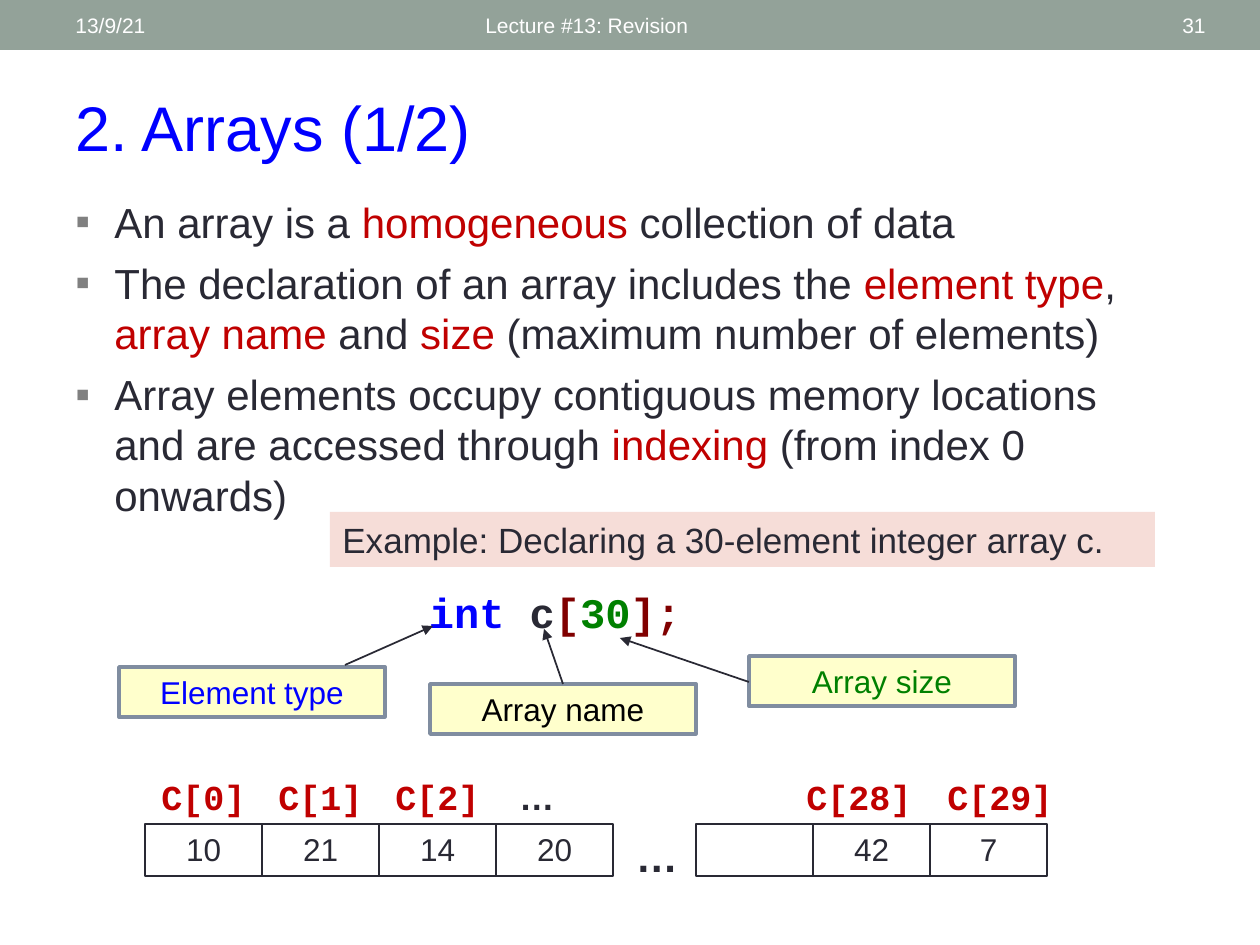
from typing import NamedTuple

from lxml.etree import SubElement
from pptx import Presentation
from pptx.dml.color import RGBColor
from pptx.enum.shapes import MSO_CONNECTOR, MSO_SHAPE
from pptx.enum.text import MSO_ANCHOR, PP_ALIGN
from pptx.oxml.ns import qn
from pptx.util import Emu, Pt

EMU_PER_PX = 914400 / 126
COLORS = {
    "band": "93A299", "white": "FFFFFF", "blue": "0000FF", "ink": "292934",
    "red": "C00000", "maroon": "800000", "green": "008000", "black": "000000",
    "bullet": "808080", "label": "FFFFCC", "border": "808DA0", "example": "F6DDD8",
}


class Box(NamedTuple):
    left: int
    top: int
    width: int
    height: int


class Run(NamedTuple):
    text: str
    color: str = "ink"


class Style(NamedTuple):
    size: int
    name: str = "Arial"
    bold: bool = False
    align: PP_ALIGN = PP_ALIGN.LEFT
    anchor: MSO_ANCHOR = MSO_ANCHOR.TOP
    bulleted: bool = False


class Callout(NamedTuple):
    box: Box
    run: Run
    start: tuple[int, int]
    end: tuple[int, int]


FOOTER = Style(12, anchor=MSO_ANCHOR.MIDDLE)
PAGE_NUMBER = FOOTER._replace(align=PP_ALIGN.RIGHT)
TITLE = Style(36, anchor=MSO_ANCHOR.BOTTOM)
BODY = Style(24, bulleted=True)
CODE = Style(24, "Courier New", True, PP_ALIGN.CENTER)
INDEX = CODE._replace(size=20)
CENTERED = Style(18, align=PP_ALIGN.CENTER)
ELLIPSIS = Style(24, bold=True, align=PP_ALIGN.CENTER)

BULLETS = [
    [Run("An array is a "), Run("homogeneous", "red"), Run(" collection of data")],
    [Run("The declaration of an array includes the "), Run("element type", "red"),
     Run(", "), Run("array name ", "red"), Run("and "), Run("size", "red"),
     Run(" (maximum number of elements)")],
    [Run("Array elements occupy contiguous memory locations and are accessed through "),
     Run("indexing", "red"), Run(" (from index 0 onwards)")],
]
DECLARATION = [Run("int ", "blue"), Run("c"), Run("[", "maroon"),
               Run("30", "green"), Run("];", "maroon")]
CALLOUTS = [
    Callout(Box(430, 684, 266, 50), Run("Array name", "black"), (563, 684), (544, 629)),
    Callout(Box(119, 667, 266, 50), Run("Element type", "blue"), (345, 665), (433, 626)),
    Callout(Box(749, 656, 266, 50), Run("Array size", "green"), (749, 682), (620, 638)),
]
CELL_WIDTH, CELL_HEIGHT, CELL_TOP, INDEX_TOP = 117, 52, 824, 769
CELL_GROUPS = [(145, ["10", "21", "14", "20"]), (696, ["", "42", "7"])]
INDEX_LABELS = [(145, 117, "C[0]"), (262, 117, "C[1]"), (379, 117, "C[2]"),
                (789, 140, "C[28]"), (930, 140, "C[29]")]


def px(value: int) -> Emu:
    return Emu(round(value * EMU_PER_PX))


def rgb(name: str) -> RGBColor:
    return RGBColor.from_string(COLORS[name])


def apply(target, values: dict) -> None:
    for name, value in values.items():
        setattr(target, name, value)


def add_bullet(paragraph) -> None:
    properties = paragraph._p.get_or_add_pPr()
    properties.set("marL", str(px(39)))
    properties.set("indent", str(-px(39)))
    color = SubElement(properties, qn("a:buClr"))
    SubElement(color, qn("a:srgbClr"), val=COLORS["bullet"])
    SubElement(properties, qn("a:buFont"), typeface="Arial")
    SubElement(properties, qn("a:buChar"), char="▪")


def write(shape, paragraphs: list[list[Run]], style: Style) -> None:
    frame = shape.text_frame
    apply(frame, {"word_wrap": True, "vertical_anchor": style.anchor})
    for number, runs in enumerate(paragraphs):
        paragraph = frame.add_paragraph() if number else frame.paragraphs[0]
        paragraph.alignment = style.align
        if style.bulleted:
            if number:
                paragraph.space_before = Pt(6)
            add_bullet(paragraph)
        for item in runs:
            run = paragraph.add_run()
            run.text = item.text
            apply(run.font, {"size": Pt(style.size), "name": style.name, "bold": style.bold})
            run.font.color.rgb = rgb(item.color)


def add_text(slide, box: Box, paragraphs: list[list[Run]], style: Style) -> None:
    write(slide.shapes.add_textbox(*map(px, box)), paragraphs, style)


def add_rectangle(slide, box: Box, fill: str = "", line: str = "", weight: float = 1):
    shape = slide.shapes.add_shape(MSO_SHAPE.RECTANGLE, *map(px, box))
    shape.shadow.inherit = False
    if fill:
        shape.fill.solid()
        shape.fill.fore_color.rgb = rgb(fill)
    else:
        shape.fill.background()
    if line:
        shape.line.color.rgb = rgb(line)
        shape.line.width = Pt(weight)
    else:
        shape.line.fill.background()
    return shape


def add_arrow(slide, start: tuple[int, int], end: tuple[int, int]) -> None:
    arrow = slide.shapes.add_connector(MSO_CONNECTOR.STRAIGHT, *map(px, start + end))
    arrow.line.color.rgb = rgb("ink")
    arrow.line.width = Pt(1)
    SubElement(arrow.line._get_or_add_ln(), qn("a:tailEnd"), type="triangle")
    SubElement(arrow._element.spPr, qn("a:effectLst"))


def add_callout(slide, callout: Callout) -> None:
    shape = add_rectangle(slide, callout.box, "label", "border", 2.08)
    write(shape, [[callout.run]], CENTERED)
    add_arrow(slide, callout.start, callout.end)


def add_array(slide) -> None:
    for left, values in CELL_GROUPS:
        for column, value in enumerate(values):
            box = Box(left + column * CELL_WIDTH, CELL_TOP, CELL_WIDTH, CELL_HEIGHT)
            cell = add_rectangle(slide, box, line="ink")
            if value:
                write(cell, [[Run(value)]], CENTERED)
    for left, width, label in INDEX_LABELS:
        add_text(slide, Box(left, INDEX_TOP, width, 55), [[Run(label, "red")]], INDEX)
    add_text(slide, Box(503, INDEX_TOP, 68, 55), [[Run("…")]], ELLIPSIS._replace(size=20))
    add_text(slide, Box(620, CELL_TOP, 74, 49), [[Run("…")]], ELLIPSIS)


def main() -> None:
    presentation = Presentation()
    apply(presentation, {"slide_width": px(1260), "slide_height": px(945)})
    slide = presentation.slides.add_slide(presentation.slide_layouts[6])
    add_rectangle(slide, Box(0, 0, 1260, 50), "band")
    add_text(slide, Box(473, 3, 567, 45), [[Run("Lecture #13: Revision", "white")]], FOOTER)
    add_text(slide, Box(63, 3, 399, 45), [[Run("13/9/21", "white")]], FOOTER)
    add_text(slide, Box(1098, 3, 120, 45), [[Run("31", "white")]], PAGE_NUMBER)
    add_text(slide, Box(63, 81, 1134, 89), [[Run("2. Arrays (1/2)", "blue")]], TITLE)
    add_text(slide, Box(63, 190, 1104, 339), BULLETS, BODY)
    add_text(slide, Box(391, 580, 328, 64), [DECLARATION], CODE)
    for callout in CALLOUTS:
        add_callout(slide, callout)
    add_array(slide)
    example = add_rectangle(slide, Box(330, 512, 825, 55), "example")
    write(example, [[Run("Example: Declaring a 30-element integer array c.")]], Style(20))
    presentation.save("out.pptx")


if __name__ == "__main__":
    main()
